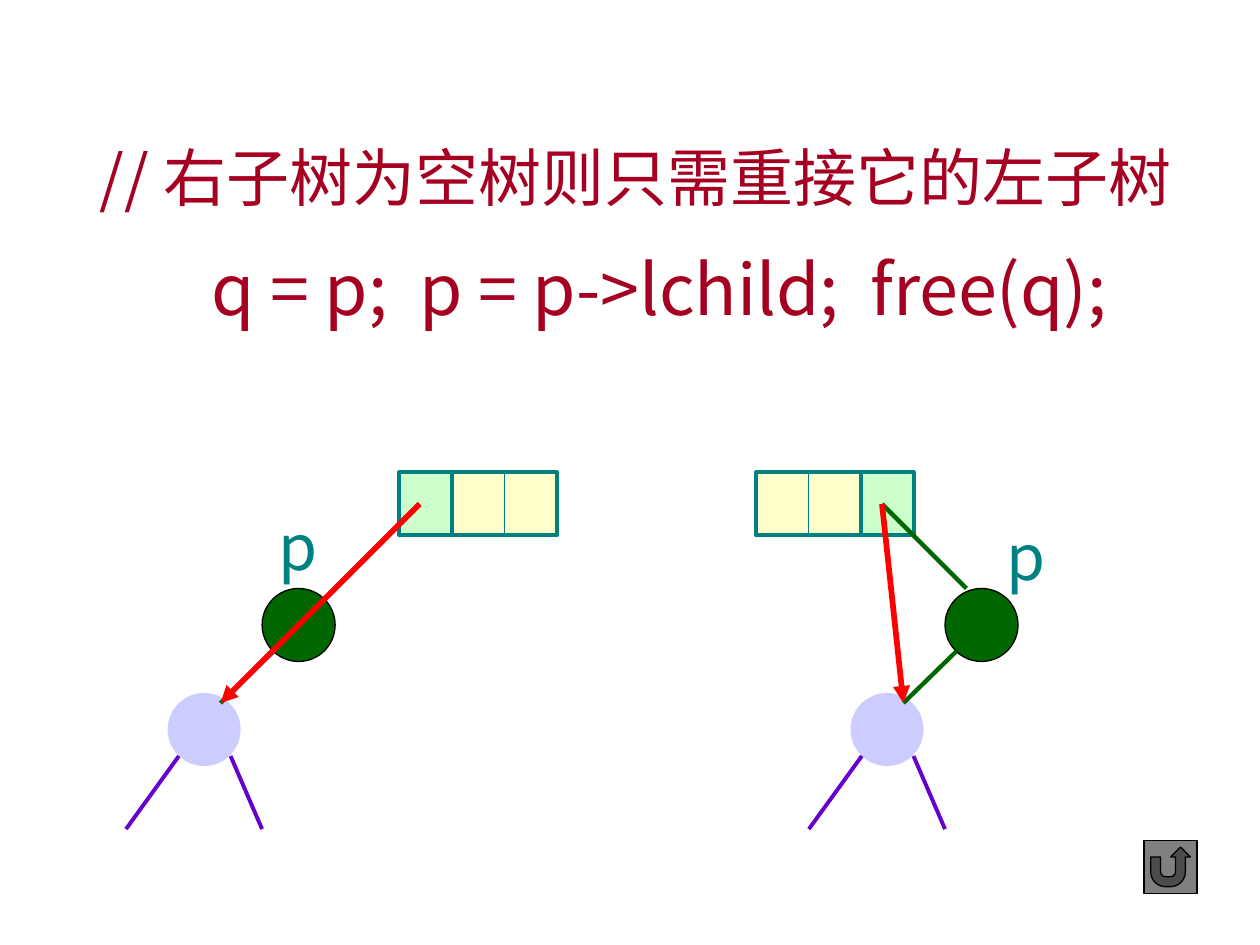
from lxml import etree
from pptx import Presentation
from pptx.dml.color import RGBColor
from pptx.enum import shapes, text
from pptx.oxml.ns import qn
from pptx.util import Inches, Pt

FONT = "Noto Sans CJK SC"
CRIMSON = RGBColor(0xA5, 0x00, 0x21)
TEAL = RGBColor(0x00, 0x80, 0x80)
MINT = RGBColor(0xCC, 0xFF, 0xCC)
CREAM = RGBColor(0xFF, 0xFF, 0xCC)
GREEN = RGBColor(0x00, 0x66, 0x00)
LAVENDER = RGBColor(0xCC, 0xCC, 0xFF)
PURPLE = RGBColor(0x66, 0x00, 0xCC)
RED = RGBColor(0xFF, 0x00, 0x00)
GRAY = RGBColor(0x80, 0x80, 0x80)
BLACK = RGBColor(0x00, 0x00, 0x00)

CELL_W, CELL_H = 0.417, 0.5
NODE = 0.58


def add_shape(slide, kind, x, y, w, h, fill, line=None, width=0.75):
    sp = slide.shapes.add_shape(kind, Inches(x), Inches(y), Inches(w), Inches(h))
    sp.shadow.inherit = False
    sp.fill.solid()
    sp.fill.fore_color.rgb = fill
    if line is None:
        sp.line.fill.background()
    else:
        sp.line.color.rgb = line
        sp.line.width = Pt(width)
    return sp


def add_line(slide, start, end, color, width, arrow=False):
    line = slide.shapes.add_connector(
        shapes.MSO_CONNECTOR.STRAIGHT, *[Inches(v) for v in (*start, *end)])
    line.line.color.rgb = color
    line.line.width = Pt(width)
    if arrow:
        etree.SubElement(line.line._get_or_add_ln(), qn("a:tailEnd"), type="triangle")
    etree.SubElement(line._element.spPr, qn("a:effectLst"))


def set_text(sp, content, size, color, left_margin=0.1):
    tf = sp.text_frame
    tf.word_wrap = False
    tf.auto_size = text.MSO_AUTO_SIZE.SHAPE_TO_FIT_TEXT
    tf.vertical_anchor = text.MSO_ANCHOR.TOP
    tf.margin_left = Inches(left_margin)
    p = tf.paragraphs[0]
    p.text = content
    p.alignment = text.PP_ALIGN.LEFT
    p.font.size = Pt(size)
    p.font.name = FONT
    p.font.color.rgb = color
    # East Asian typeface for the Chinese wording
    for r in p.runs:
        etree.SubElement(r._r.get_or_add_rPr(), qn("a:ea"), typeface=FONT)
    return p


def add_text(slide, x, y, w, h, content, size, color):
    sp = slide.shapes.add_textbox(Inches(x), Inches(y), Inches(w), Inches(h))
    set_text(sp, content, size, color)


def add_heading(slide, x, y, w, h):
    title = slide.shapes.title
    title.left, title.top, title.width, title.height = [Inches(v) for v in (x, y, w, h)]
    p = set_text(title, "// 右子树为空树则只需重接它的左子树", 36, CRIMSON, 0.21)
    p.line_spacing = 1.5


def add_parent(slide, x, y, linked_first):
    """Three-field record whose linked child field is mint."""
    rect = shapes.MSO_SHAPE.RECTANGLE
    mint_x = x if linked_first else x + 2 * CELL_W
    cream_x = x + CELL_W if linked_first else x
    add_shape(slide, rect, mint_x, y, CELL_W, CELL_H, MINT, TEAL, 2.25)
    add_shape(slide, rect, cream_x, y, 2 * CELL_W, CELL_H, CREAM, TEAL, 2.25)
    middle = cream_x + CELL_W
    add_line(slide, (middle, y), (middle, y + CELL_H), TEAL, 0.75)


def add_tree(slide, x, y, parent_dx, linked_first, link_from, link_to, label):
    """Parent record, removed node p and its left subtree; offsets from (x, y)."""
    def at(point):
        return x + point[0], y + point[1]

    oval = shapes.MSO_SHAPE.OVAL
    child_top = (0.75, 1.83)
    add_parent(slide, x + parent_dx, y, linked_first)

    # Nodes
    add_shape(slide, oval, *at((1.08, 0.92)), NODE, NODE, GREEN, BLACK)
    add_shape(slide, oval, *at((0.33, 1.75)), NODE, NODE, LAVENDER)

    # Branches below the child, then the old links
    add_line(slide, at((0.42, 2.25)), at((0, 2.83)), PURPLE, 2.25)
    add_line(slide, at((0.83, 2.25)), at((1.08, 2.83)), PURPLE, 2.25)
    add_line(slide, at((1.17, 1.42)), at(child_top), GREEN, 2.5)
    add_line(slide, at(link_from), at(link_to), GREEN, 2.5)

    # New link from the parent straight to the child
    add_line(slide, at(link_from), at(child_top), RED, 3.25, arrow=True)
    add_text(slide, *at(label), 0.51, 0.71, "p", 36, TEAL)


def main():
    prs = Presentation()
    prs.slide_width, prs.slide_height = Inches(10), Inches(7.5)
    slide = prs.slides.add_slide(prs.slide_layouts[5])

    # Comment and code
    add_heading(slide, 0.58, 0.75, 8.98, 0.91)
    add_text(slide, 1.58, 1.9, 7.68, 0.77,
             "q = p;  p = p->lchild;  free(q);", 40, CRIMSON)

    # p as a left child, then p as a right child
    add_tree(slide, 1, 3.75, 2.17, True, (2.33, 0.25), (1.58, 1), (1.11, 0.23))
    add_tree(slide, 6.42, 3.75, -0.42, False, (0.58, 0.25), (1.25, 0.92), (1.47, 0.31))

    # Return button
    add_shape(slide, shapes.MSO_SHAPE.ACTION_BUTTON_RETURN,
              9.08, 6.67, 0.42, 0.42, GRAY, BLACK)
    prs.save("out.pptx")


if __name__ == "__main__":
    main()
